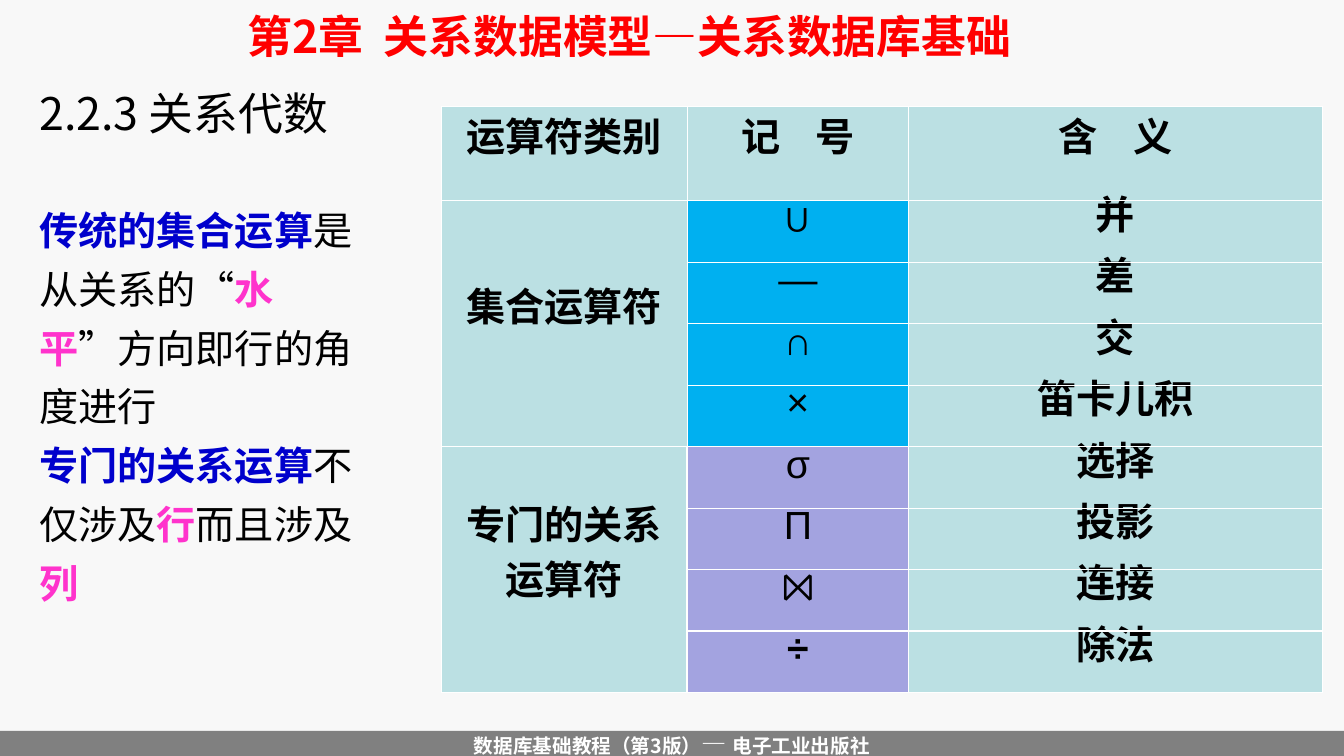
from dataclasses import dataclass

from lxml import etree
from pptx import Presentation
from pptx import util as u
from pptx.dml.color import RGBColor
from pptx.enum import shapes, text
from pptx.oxml import ns

SCALE = 9144
PAPER = RGBColor(0xF8, 0xF8, 0xF8)
GRAY = RGBColor(0x80, 0x80, 0x80)
WHITE = RGBColor(0xFF, 0xFF, 0xFF)
BLACK = RGBColor(0, 0, 0)
RED = RGBColor(0xFF, 0, 0)
BLUE = RGBColor(0, 0, 0xCC)
PINK = RGBColor(0xFF, 0x33, 0xCC)
TEAL = RGBColor(0xBB, 0xE0, 0xE3)
SKY = RGBColor(0, 0xB0, 0xF0)
LILAC = RGBColor(0xA3, 0xA3, 0xE0)
CJK = "Noto Sans CJK SC"
LATIN = "Arial"
MID = text.MSO_ANCHOR.MIDDLE
CENTER = text.PP_ALIGN.CENTER


@dataclass(frozen=True)
class Box:
    left: int
    top: int
    width: int
    height: int

    def emu(self) -> tuple:
        return tuple(px(n) for n in (self.left, self.top, self.width, self.height))


@dataclass(frozen=True)
class Style:
    size: int
    face: str
    color: RGBColor
    bold: bool = False


@dataclass(frozen=True)
class Group:
    lines: tuple
    fill: RGBColor
    rows: tuple


PLAIN = Style(28, LATIN, BLACK)
STRONG = Style(28, LATIN, BLACK, True)
TERM = Style(28, CJK, BLUE, True)
MARK = Style(28, CJK, PINK, True)
FOOT = Style(14, CJK, WHITE, True)

BODY = (
    (("传统的集合运算", TERM), ("是从关系的“", PLAIN), ("水平", MARK),
     ("”方向即行的角度进行", PLAIN)),
    (("专门的关系运算", TERM), ("不仅涉及", PLAIN), ("行", MARK),
     ("而且涉及", PLAIN), ("列", MARK)),
)
HEADS = ("运算符类别", "记    号", "含    义")
GROUPS = (
    Group(("集合运算符",), SKY,
          (("∪", "并"), ("—", "差"), ("∩", "交"), ("×", "笛卡儿积"))),
    Group(("专门的关系", "运算符"), LILAC,
          (("σ", "选择"), ("Π", "投影"), ("⨝", "连接"), ("÷", "除法"))),
)
COLS = (244, 220, 410)
THICK = ({(0, c, "B") for c in range(3)} | {(1, c, "T") for c in range(3)}
         | {(4, 0, "B"), (5, 0, "T")}
         | {(7, c, "B") for c in (1, 2)} | {(8, c, "T") for c in (1, 2)}
         | {(r, 1, "L") for r in (5, 6, 7)})


def px(n: int) -> int:
    return n * SCALE


def style(font, look: Style) -> None:
    font.size = u.Pt(look.size)
    font.name = look.face
    font.color.rgb = look.color
    font.bold = look.bold


def write(para, parts: tuple) -> None:
    for words, look in parts:
        run = para.add_run()
        run.text = words
        style(run.font, look)


def place(shape, box: Box) -> None:
    shape.left, shape.top, shape.width, shape.height = box.emu()


def shade(run) -> None:
    fx = etree.Element(ns.qn("a:effectLst"))
    drop = etree.SubElement(fx, ns.qn("a:outerShdw"), blurRad="38100",
                            dist="38100", dir="2700000", algn="tl")
    etree.SubElement(drop, ns.qn("a:srgbClr"), val="C0C0C0")
    run.font._element.find(ns.qn("a:solidFill")).addnext(fx)


def edge(cell, row: int, col: int) -> None:
    props = cell._tc.get_or_add_tcPr()
    for spot, side in enumerate("LRTB"):
        wide = 1.47 if (row, col, side) in THICK else 0.45
        line = etree.Element(ns.qn(f"a:ln{side}"), w=str(u.Pt(wide)))
        fill = etree.SubElement(line, ns.qn("a:solidFill"))
        etree.SubElement(fill, ns.qn("a:srgbClr"), val=str(WHITE))
        props.insert(spot, line)


def put(cell, lines: tuple, fill: RGBColor, look: Style) -> None:
    cell.fill.solid()
    cell.fill.fore_color.rgb = fill
    cell.vertical_anchor = MID
    cell.margin_left = cell.margin_right = px(7)
    cell.text = "\n".join(lines)
    for n, para in enumerate(cell.text_frame.paragraphs):
        para.alignment = CENTER
        para.line_spacing = u.Pt(13)
        if n:
            para.space_before = u.Pt(26)
        style(para.font, look)


def table(slide) -> None:
    grid = slide.shapes.add_table(9, 3, *Box(438, 105, 874, 582).emu()).table
    grid.first_row = grid.horz_banding = False
    for col, wide in zip(grid.columns, COLS):
        col.width = px(wide)
    for n, row in enumerate(grid.rows):
        row.height = px(61 if n else 94)
        for c in range(3):
            edge(grid.cell(n, c), n, c)
    for c, head in enumerate(HEADS):
        put(grid.cell(0, c), (head,), TEAL, STRONG)
    top = 1
    for group in GROUPS:
        last = top + len(group.rows) - 1
        grid.cell(top, 0).merge(grid.cell(last, 0))
        put(grid.cell(top, 0), group.lines, TEAL, STRONG)
        for n, (sign, sense) in enumerate(group.rows, top):
            put(grid.cell(n, 1), (sign,), group.fill,
                STRONG if sign == "÷" else PLAIN)
            put(grid.cell(n, 2), (sense,), TEAL, STRONG)
        top = last + 1


def footer(slide) -> None:
    bar = slide.shapes.add_shape(shapes.MSO_SHAPE.RECTANGLE,
                                 *Box(0, 725, 1334, 26).emu())
    bar.shadow.inherit = False
    bar.fill.solid()
    bar.fill.fore_color.rgb = GRAY
    bar.line.fill.background()
    frame = bar.text_frame
    frame.word_wrap = False
    frame.vertical_anchor = MID
    para = frame.paragraphs[0]
    para.alignment = CENTER
    write(para, (("数据库基础教程（第3版", FOOT),
                 ("）", Style(14, LATIN, WHITE, True)),
                 ("— ", Style(18, LATIN, PAPER)), ("电子工业出版社", FOOT)))


def chapter(slide) -> None:
    frame = slide.shapes.add_textbox(*Box(58, 0, 1134, 70).emu()).text_frame
    frame.word_wrap = True
    frame.vertical_anchor = MID
    para = frame.paragraphs[0]
    para.alignment = CENTER
    write(para, (("第2章  关系数据模型—关系数据库基础",
                  Style(32, CJK, RED, True)),))
    shade(para.runs[0])


def title(slide) -> None:
    head = slide.shapes.title
    place(head, Box(29, 68, 479, 75))
    frame = head.text_frame
    frame.text = "2.2.3 关系代数"
    frame.vertical_anchor = text.MSO_ANCHOR.BOTTOM
    para = frame.paragraphs[0]
    para.alignment = text.PP_ALIGN.LEFT
    style(para.font, Style(32, CJK, BLACK))


def body(slide) -> None:
    hold = slide.placeholders[1]
    place(hold, Box(29, 188, 347, 419))
    frame = hold.text_frame
    frame.auto_size = text.MSO_AUTO_SIZE.SHAPE_TO_FIT_TEXT
    for n, parts in enumerate(BODY):
        para = frame.add_paragraph() if n else frame.paragraphs[0]
        para.line_spacing = 1.25
        para.space_before = u.Pt(0)
        props = para._p.get_or_add_pPr()
        props.set("marL", "0")
        props.set("indent", "0")
        etree.SubElement(props, ns.qn("a:buNone"))
        write(para, parts)


def main() -> None:
    deck = Presentation()
    deck.slide_width, deck.slide_height = px(1334), px(750)
    slide = deck.slides.add_slide(deck.slide_layouts[1])
    slide.background.fill.solid()
    slide.background.fill.fore_color.rgb = PAPER
    footer(slide)
    chapter(slide)
    title(slide)
    table(slide)
    body(slide)
    deck.save("out.pptx")


if __name__ == "__main__":
    main()
